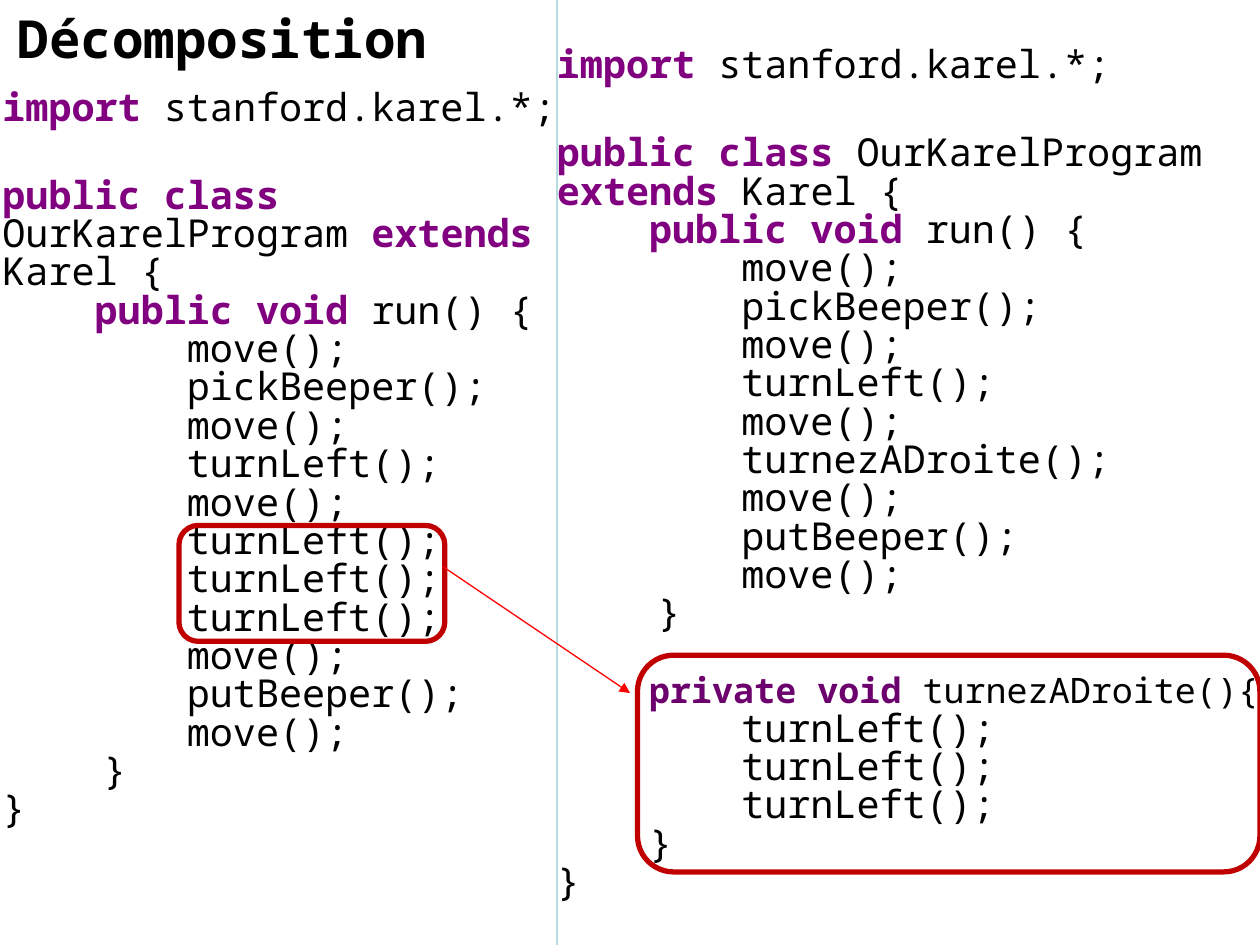
import pptx
import pptx.util
import pptx.dml.color
import pptx.enum.text
import pptx.enum.shapes
import pptx.oxml.ns
import lxml.etree

Pt = pptx.util.Pt
qn = pptx.oxml.ns.qn
theme = {
    "font": "Noto Sans Mono", "title": 30, "code": 22, "small": 20,
    "ink": "000000", "key": "800080", "dark": "6C006C",
    "rule": "B6DCDF", "frame": "C00000", "arrow": "FF0000",
}

deck = pptx.Presentation()
deck.slide_width = pptx.util.Inches(10)
deck.slide_height = pptx.util.Inches(7.5)
col = deck.slide_width / 100
row = deck.slide_height / 75
split = 44.2


def span(left, top, width, height):
    return [round(n * unit) for n, unit in
            zip((left, top, width, height), (col, row, col, row))]


def style(font, size, tint, bold):
    font.name = theme["font"]
    font.size = Pt(theme[size])
    font.bold = bold
    font.color.rgb = pptx.dml.color.RGBColor.from_string(theme[tint])


slide = deck.slides.add_slide(deck.slide_layouts[5])
title = slide.shapes.title
title.left, title.top, title.width, title.height = span(0.4, 0, 34.8, 6.1)
frame = title.text_frame
frame.text = "Décomposition"
frame.word_wrap = False
frame.auto_size = pptx.enum.text.MSO_AUTO_SIZE.SHAPE_TO_FIT_TEXT
frame.vertical_anchor = pptx.enum.text.MSO_ANCHOR.TOP
frame.paragraphs[0].alignment = pptx.enum.text.PP_ALIGN.LEFT
style(frame.paragraphs[0].runs[0].font, "title", "ink", True)

# Parts between bars are keywords.
head = [
    "|import |stanford.karel.*;",
    "|public class |OurKarelProgram |extends| Karel {",
    "    |public void| run() {",
]
start = ["move", "pickBeeper", "move", "turnLeft", "move"]
turn = ["turnLeft"] * 3
finish = ["move", "putBeeper", "move"]


def calls(names):
    return [f"        {name}();" for name in names]


before = head + calls(start + turn + finish) + ["\t}", "}"]
after = head + calls(start + ["turnezADroite"] + finish) + [
    "\t}", "    |private void |turnezADroite(){"] + calls(turn) + ["    }", "}"]

for lines, place, foot in (
    (after, (split, 16.8, 55.8, 41.4), 0),
    (before, (0.2, 17.1, 46.7, 41.4), 3),
):
    frame = slide.shapes.add_textbox(*span(*place)).text_frame
    frame.word_wrap = True
    frame.vertical_anchor = pptx.enum.text.MSO_ANCHOR.MIDDLE
    frame.margin_left = frame.margin_right = 0
    frame.margin_bottom = round(foot * row)
    for index, line in enumerate(lines):
        para = frame.paragraphs[0] if index == 0 else frame.add_paragraph()
        if "\t" in line:
            tabs = lxml.etree.SubElement(para._p.get_or_add_pPr(), qn("a:tabLst"))
            lxml.etree.SubElement(tabs, qn("a:tab"), pos=str(round(8 * col)), algn="l")
        para.line_spacing = 0.83
        small = "private" in line
        if "class" in line:
            para.space_before = Pt(28.5)
        if small:
            para.space_before = Pt(22)
        for order, part in enumerate(line.split("|")):
            if part:
                run = para.add_run()
                run.text = part
                key = order % 2 == 1
                tint = ("dark" if small else "key") if key else "ink"
                style(run.font, "small" if small and order else "code", tint, key)

for place in ((14.2, 41.7, 21.1, 9.2), (50.6, 52, 49.4, 17.2)):
    box = slide.shapes.add_shape(
        pptx.enum.shapes.MSO_SHAPE.ROUNDED_RECTANGLE, *span(*place))
    box.shadow.inherit = False
    box.fill.background()
    box.line.color.rgb = pptx.dml.color.RGBColor.from_string(theme["frame"])
    box.line.width = Pt(3)

for ends, tint in (((split, 0, split, 75), "rule"), ((35.2, 45, 50, 55), "arrow")):
    link = slide.shapes.add_connector(
        pptx.enum.shapes.MSO_CONNECTOR.STRAIGHT, *span(*ends))
    link.line.color.rgb = pptx.dml.color.RGBColor.from_string(theme[tint])
    link.line.width = Pt(0.75)
    if tint == "arrow":
        lxml.etree.SubElement(link.line._ln, qn("a:tailEnd"), type="triangle")
    lxml.etree.SubElement(link._element.spPr, qn("a:effectLst"))

deck.save("out.pptx")
